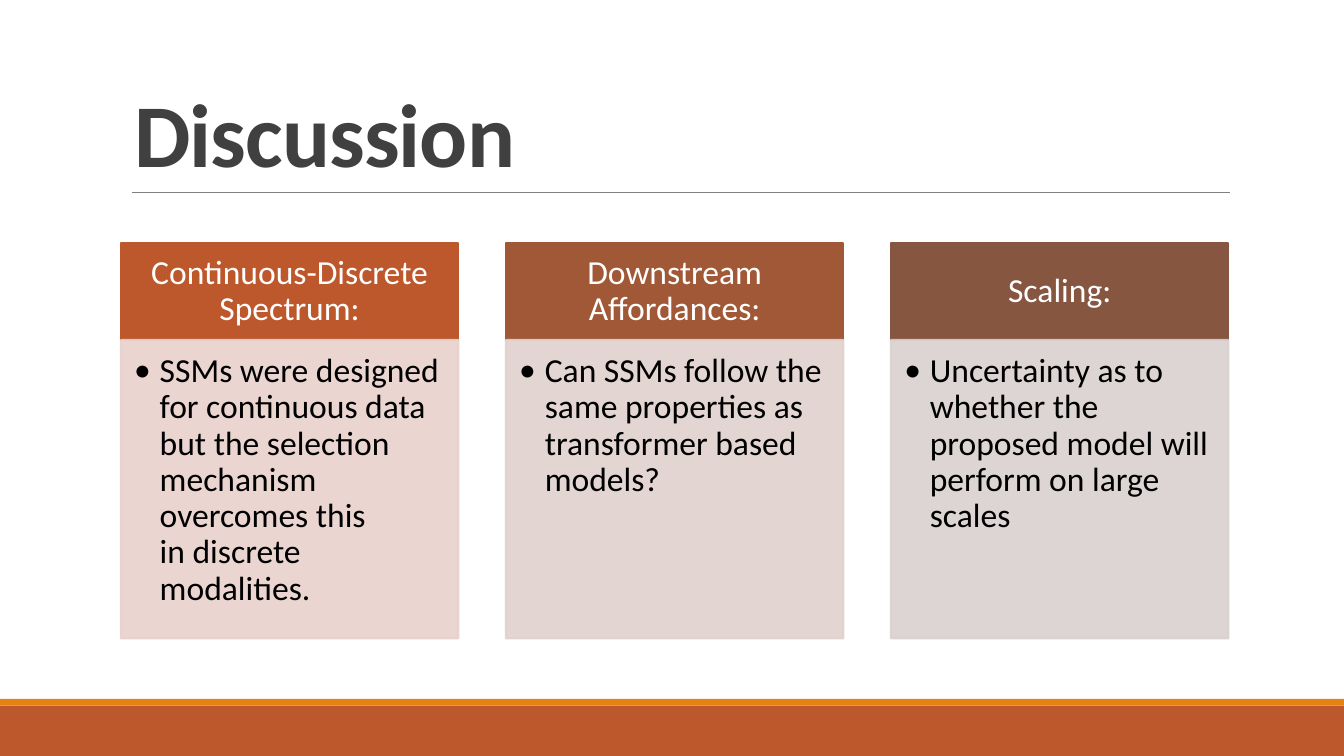
from dataclasses import dataclass

from lxml import etree
from pptx import Presentation
from pptx.dml.color import RGBColor
from pptx.enum import shapes, text
from pptx.oxml import ns
from pptx.util import Inches, Pt


@dataclass(frozen=True)
class Theme:
    font: str = "Calibri"
    title_size: int = 48
    text_size: int = 18
    title: str = "404040"
    rule: str = "808080"
    band: str = "BD582C"
    stripe: str = "E48312"
    heading: str = "FFFFFF"
    body: str = "000000"
    headers: tuple = ("BD582C", "A05837", "865640")
    panels: tuple = ("E8D1CD", "E1D1CE", "D9D1CF")


theme = Theme()
NO_BREAK_SPACE = chr(160)


def add_box(left, top, width, height, color, alpha=None):
    """Add a rectangle with matching fill and outline; alpha is a percentage."""
    box = slide.shapes.add_shape(
        shapes.MSO_SHAPE.RECTANGLE,
        Inches(left), Inches(top), Inches(width), Inches(height))
    box.shadow.inherit = False
    box.fill.solid()
    box.fill.fore_color.rgb = RGBColor.from_string(color)
    box.line.color.rgb = RGBColor.from_string(color)
    box.line.width = Pt(1.25)
    if alpha:
        for srgb in box._element.spPr.iter(ns.qn("a:srgbClr")):
            etree.SubElement(srgb, ns.qn("a:alpha"), val=str(alpha * 1000))
    return box


def write(shape, wording, size, color, align, anchor, insets, spacing):
    frame = shape.text_frame
    frame.text = wording
    frame.word_wrap = True
    frame.auto_size = text.MSO_AUTO_SIZE.NONE
    frame.vertical_anchor = anchor
    (frame.margin_left, frame.margin_top,
     frame.margin_right, frame.margin_bottom) = map(Inches, insets)
    paragraph = frame.paragraphs[0]
    paragraph.alignment = align
    paragraph.line_spacing = spacing
    font = paragraph.runs[0].font
    font.name = theme.font
    font.size = Pt(size)
    font.color.rgb = RGBColor.from_string(color)
    return paragraph


prs = Presentation()
prs.slide_width = Inches(10)
prs.slide_height = Inches(10) * 9 // 16
slide = prs.slides.add_slide(prs.slide_layouts[5])

# Footer bands and title rule
for top, height, color in ((5.25, 0.38, theme.band), (5.2, 0.05, theme.stripe)):
    add_box(0, top, 10, height, color).line.fill.background()

rule = slide.shapes.add_connector(
    shapes.MSO_CONNECTOR.STRAIGHT,
    Inches(0.98), Inches(1.43), Inches(9.15), Inches(1.43))
rule.line.color.rgb = RGBColor.from_string(theme.rule)
rule.line.width = Pt(0.5)
etree.SubElement(rule._element.spPr, ns.qn("a:effectLst"))

# Title
title = slide.shapes.title
title.left, title.top = Inches(0.9), Inches(0.24)
title.width, title.height = Inches(8.25), Inches(1.19)
heading = write(title, "Discussion", theme.title_size, theme.title,
                text.PP_ALIGN.LEFT, text.MSO_ANCHOR.BOTTOM,
                (0.1, 0.05, 0.1, 0.05), 0.85)
heading.runs[0].font.bold = True
heading.runs[0]._r.get_or_add_rPr().set("spc", "-50")

# Three topic columns
topics = (
    ("Continuous-Discrete Spectrum:",
     "SSMs were designed for continuous data but the selection mechanism "
     f"overcomes this in{NO_BREAK_SPACE}discrete modalities."),
    ("Downstream Affordances:",
     "Can SSMs follow the same properties as transformer based models?"),
    ("Scaling:",
     "Uncertainty as to whether the proposed model will perform on large scales"),
)
first_left, last_left, column_width = 0.9, 6.63, 2.51
pitch = (last_left - first_left) / (len(topics) - 1)
header_top, header_height, body_height = 1.81, 0.72, 2.22

for index, (topic, point) in enumerate(topics):
    left = first_left + index * pitch
    header = add_box(left, header_top, column_width, header_height,
                     theme.headers[index])
    write(header, topic, theme.text_size, theme.heading, text.PP_ALIGN.CENTER,
          text.MSO_ANCHOR.MIDDLE, (0.14, 0.08, 0.14, 0.08), 0.9)

    body = add_box(left, header_top + header_height, column_width, body_height,
                   theme.panels[index], alpha=90)
    bullet = write(body, point, theme.text_size, theme.body, text.PP_ALIGN.LEFT,
                   text.MSO_ANCHOR.TOP, (0.1, 0.1, 0.14, 0.16), 0.9)
    bullet.level = 1
    props = bullet._p.get_or_add_pPr()
    props.set("marL", str(Inches(0.19)))
    props.set("indent", str(Inches(-0.19)))
    etree.SubElement(props, ns.qn("a:buFont"), typeface=theme.font)
    etree.SubElement(props, ns.qn("a:buChar"), char="•")

prs.save("out.pptx")
